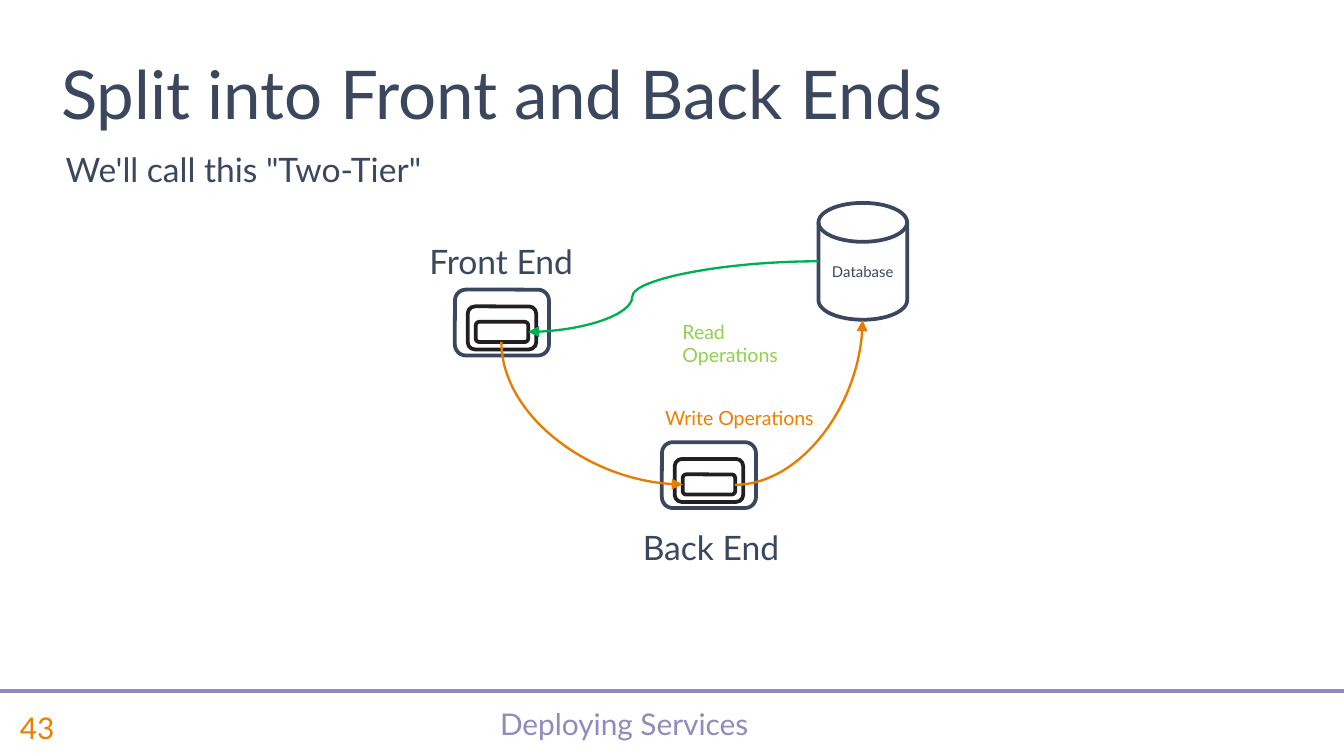
from dataclasses import dataclass

from lxml.etree import SubElement
from pptx import Presentation
from pptx.dml.color import RGBColor
from pptx.enum.shapes import MSO_CONNECTOR, MSO_SHAPE
from pptx.enum.text import MSO_ANCHOR, MSO_AUTO_SIZE, PP_ALIGN
from pptx.oxml.ns import qn
from pptx.util import Inches, Pt


@dataclass(frozen=True)
class Theme:
    font: str = "Lato"
    navy: RGBColor = RGBColor(0x3B, 0x47, 0x5E)
    black: RGBColor = RGBColor(0x23, 0x1F, 0x20)
    white: RGBColor = RGBColor(0xFF, 0xFF, 0xFF)
    purple: RGBColor = RGBColor(0x92, 0x8A, 0xBD)
    orange: RGBColor = RGBColor(0xED, 0x7F, 0x00)
    write_arrow: RGBColor = RGBColor(0xE8, 0x7C, 0x00)
    read_arrow: RGBColor = RGBColor(0x00, 0xB0, 0x50)
    read_label: RGBColor = RGBColor(0x92, 0xD0, 0x50)
    title: float = 36
    heading: float = 18
    footer: float = 16
    label: float = 10.5
    small: float = 8


theme = Theme()
presentation = Presentation()
presentation.slide_width = Inches(10)
presentation.slide_height = presentation.slide_width * 9 // 16
slide = presentation.slides.add_slide(presentation.slide_layouts[5])
shapes = slide.shapes
column = presentation.slide_width / 100
row = presentation.slide_height / 56.25


def grid(*cells):
    """Turn alternating column and row counts into lengths."""
    return [round(cell * (row if i % 2 else column)) for i, cell in enumerate(cells)]


def write(shape, text, size, color, align=PP_ALIGN.LEFT, anchor=MSO_ANCHOR.TOP):
    frame = shape.text_frame
    frame.text = text
    frame.word_wrap = True
    frame.auto_size = MSO_AUTO_SIZE.NONE
    frame.vertical_anchor = anchor
    paragraph = frame.paragraphs[0]
    paragraph.alignment = align
    paragraph.font.name = theme.font
    paragraph.font.size = Pt(size)
    paragraph.font.color.rgb = color
    return paragraph


# Footer
footer = shapes.add_textbox(*grid(7.8, 51.9, 77.3, 4.4))
paragraph = write(footer, "Deploying Services", theme.footer, theme.purple,
                  PP_ALIGN.CENTER, MSO_ANCHOR.MIDDLE)
paragraph.line_spacing = 0.8
page_number = shapes.add_textbox(*grid(0.5, 51.9, 7.3, 4.4))
write(page_number, "43", theme.footer, theme.orange, anchor=MSO_ANCHOR.MIDDLE)
footer_rule = shapes.add_connector(MSO_CONNECTOR.STRAIGHT, *grid(0, 51.4, 100, 51.4))
footer_rule.line.color.rgb = theme.purple
footer_rule.line.width = Pt(2.25)
SubElement(footer_rule.element.spPr, qn("a:effectLst"))

# Title
title = shapes.title
title.left, title.top, title.width, title.height = grid(3.55, 2.9, 76.6, 7.5)
write(title, "Split into Front and Back Ends", theme.title, theme.navy,
      anchor=MSO_ANCHOR.BOTTOM)

# Database and the two servers, each server made of three nested boxes
database = shapes.add_shape(MSO_SHAPE.FLOWCHART_MAGNETIC_DISK, *grid(60.9, 15.1, 6.6, 8.7))
write(database, "Database", theme.small, theme.navy, PP_ALIGN.CENTER, MSO_ANCHOR.MIDDLE)
database.text_frame.margin_left = database.text_frame.margin_right = 0
outlined = [(database, theme.navy)]
nested_boxes = [
    (0, 0, 7, 4.9, theme.navy),
    (0.95, 1.25, 5.1, 3.2, theme.black),
    (1.55, 2.4, 3.9, 1.5, theme.black),
]
cores = []
for left, top in [(33.85, 21.55), (49.25, 32.9)]:
    server = shapes.add_group_shape()
    for x, y, width, height, color in nested_boxes:
        box = server.shapes.add_shape(MSO_SHAPE.ROUNDED_RECTANGLE,
                                      *grid(left + x, top + y, width, height))
        outlined.append((box, color))
    cores.append(box)
front_core, back_core = cores

for shape, color in outlined:
    shape.shadow.inherit = False
    shape.fill.solid()
    shape.fill.fore_color.rgb = theme.white
    shape.line.color.rgb = color
    shape.line.width = Pt(2)

# Curved arrows; the disk numbers its sites 2 left and 3 bottom.
# Quarter curves are turned on their side, so their frames are set after joining.
curves = [
    (front_core, 3, database, 2, "curvedConnector3", (39.3, 19.45, 21.6, 5.25),
     {"flipV": "1"}, theme.read_arrow, "a:headEnd"),
    (database, 3, back_core, 3, "curvedConnector2", (53.3, 25.2, 12.25, 9.5),
     {"rot": "5400000"}, theme.write_arrow, "a:headEnd"),
    (front_core, 2, back_core, 1, "curvedConnector2", (38.75, 24, 10.6, 13.5),
     {"rot": "16200000", "flipH": "1"}, theme.write_arrow, "a:tailEnd"),
]
for start, start_site, end, end_site, preset, frame, turn, color, arrowhead in curves:
    curve = shapes.add_connector(MSO_CONNECTOR.CURVE, 0, 0, 0, 0)
    curve.begin_connect(start, start_site)
    curve.end_connect(end, end_site)
    curve.left, curve.top, curve.width, curve.height = grid(*frame)
    properties = curve.element.spPr
    transform = properties.find(qn("a:xfrm"))
    for name in ("rot", "flipH", "flipV"):
        transform.attrib.pop(name, None)
    for name, value in turn.items():
        transform.set(name, value)
    geometry = properties.find(qn("a:prstGeom"))
    geometry.set("prst", preset)
    if preset == "curvedConnector3":
        SubElement(geometry.find(qn("a:avLst")), qn("a:gd"), name="adj1", fmla="val 35900")
    curve.line.color.rgb = color
    curve.line.width = Pt(1.25)
    SubElement(properties.find(qn("a:ln")), qn(arrowhead), type="triangle")
    SubElement(properties, qn("a:effectLst"))

# Labels
labels = [
    ("Write Operations", 48.5, 29.7, 13.3, 2.9, theme.label, theme.orange, PP_ALIGN.LEFT),
    ("Read Operations", 49.8, 23.3, 12.6, 2.8, theme.label, theme.read_label, PP_ALIGN.LEFT),
    ("Front End", 30.6, 17.4, 13.4, 4, theme.heading, theme.navy, PP_ALIGN.CENTER),
    ("Back End", 46.2, 38.7, 13.4, 4, theme.heading, theme.navy, PP_ALIGN.CENTER),
    ("We'll call this \"Two-Tier\"", 3.9, 10.6, 43.5, 4, theme.heading, theme.navy,
     PP_ALIGN.LEFT),
]
for text, left, top, width, height, size, color, align in labels:
    label = shapes.add_textbox(*grid(left, top, width, height))
    write(label, text, size, color, align)

presentation.save("out.pptx")
